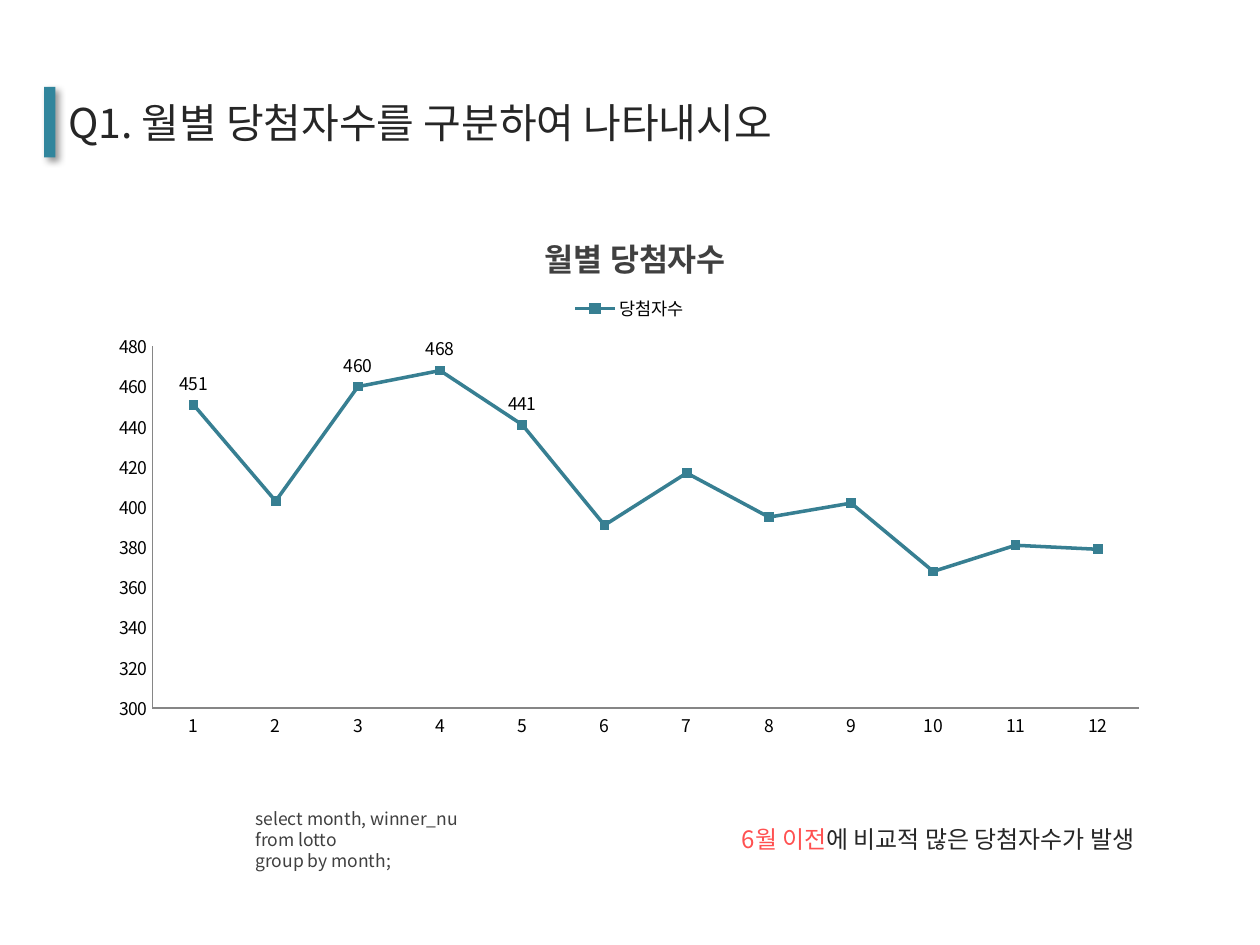
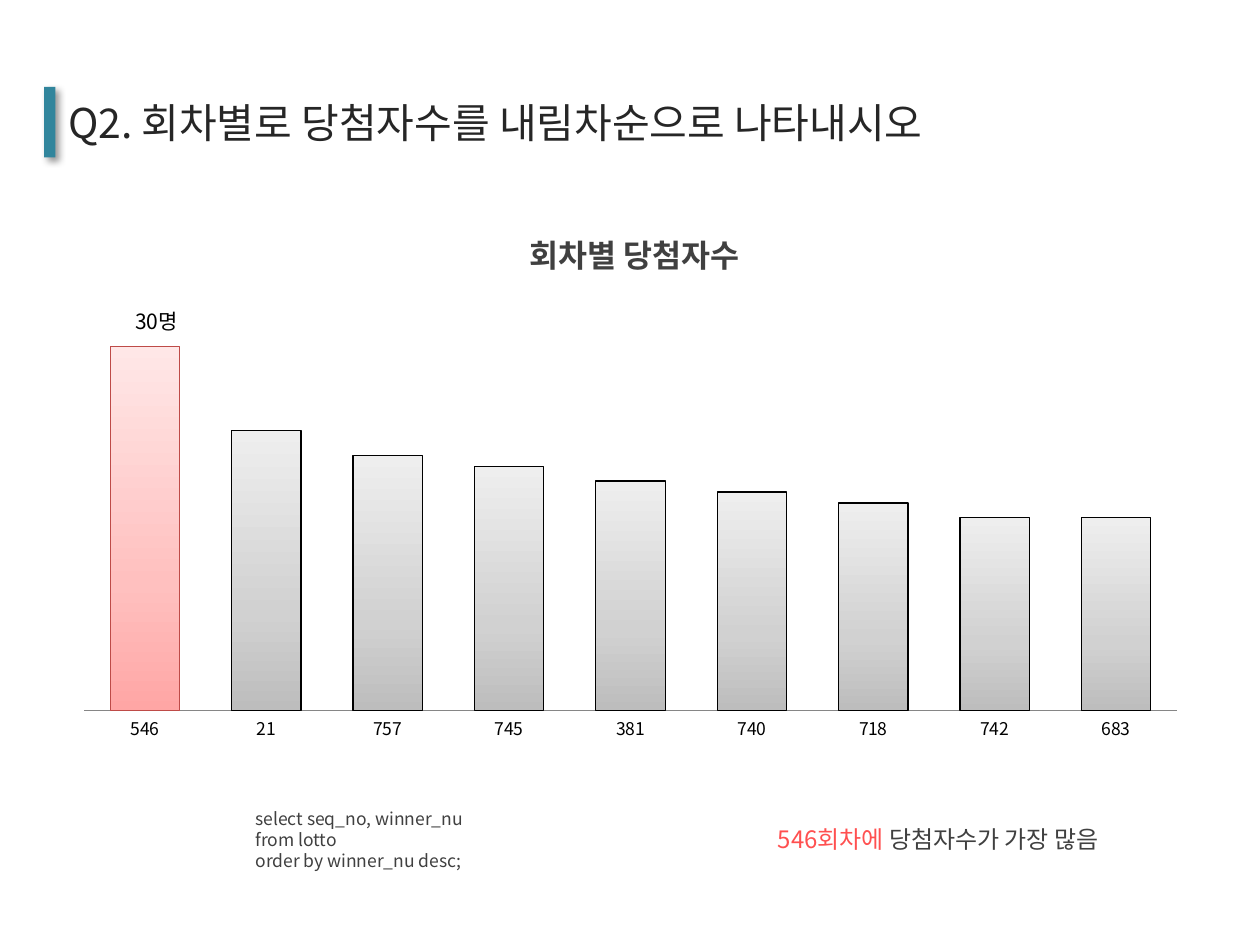
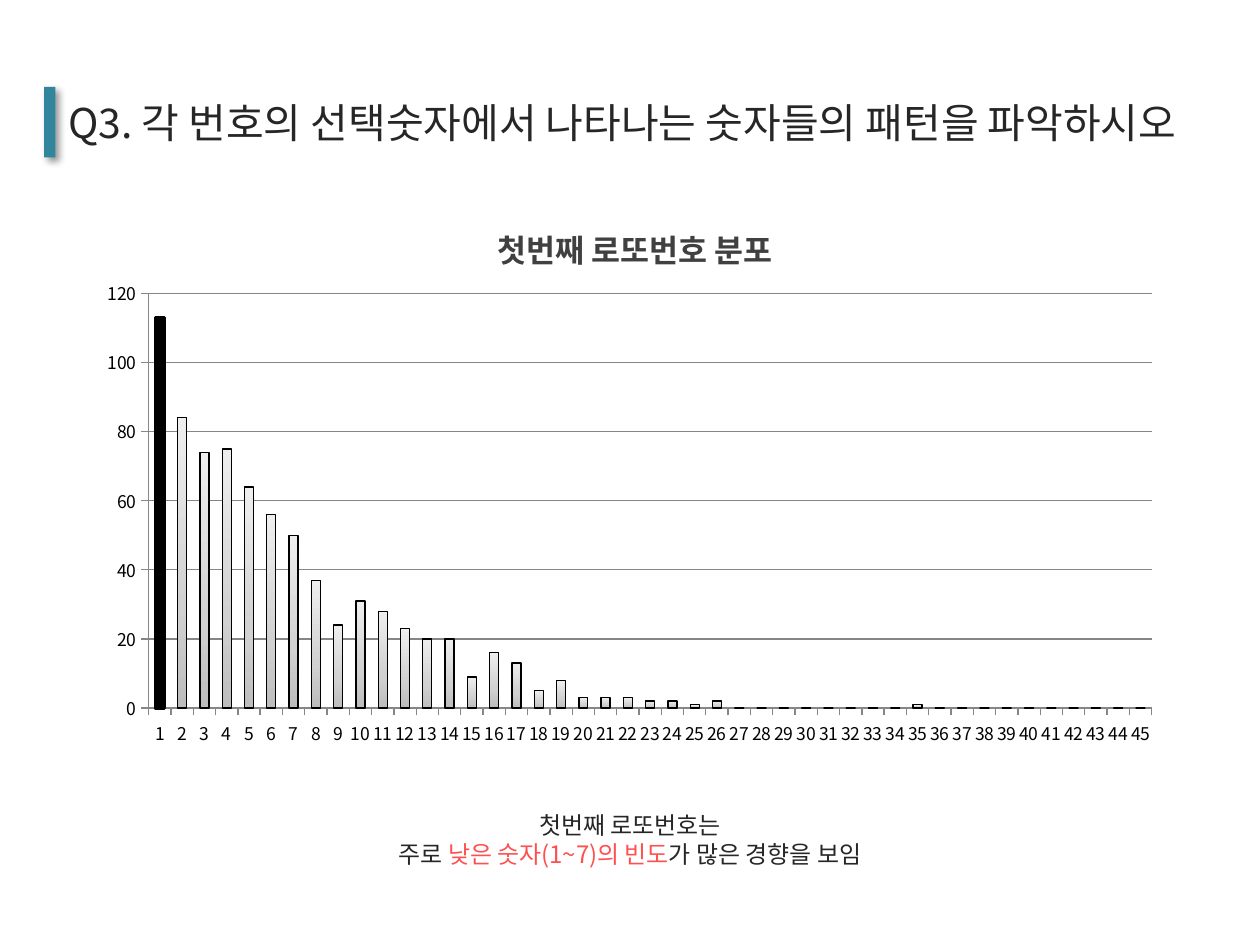
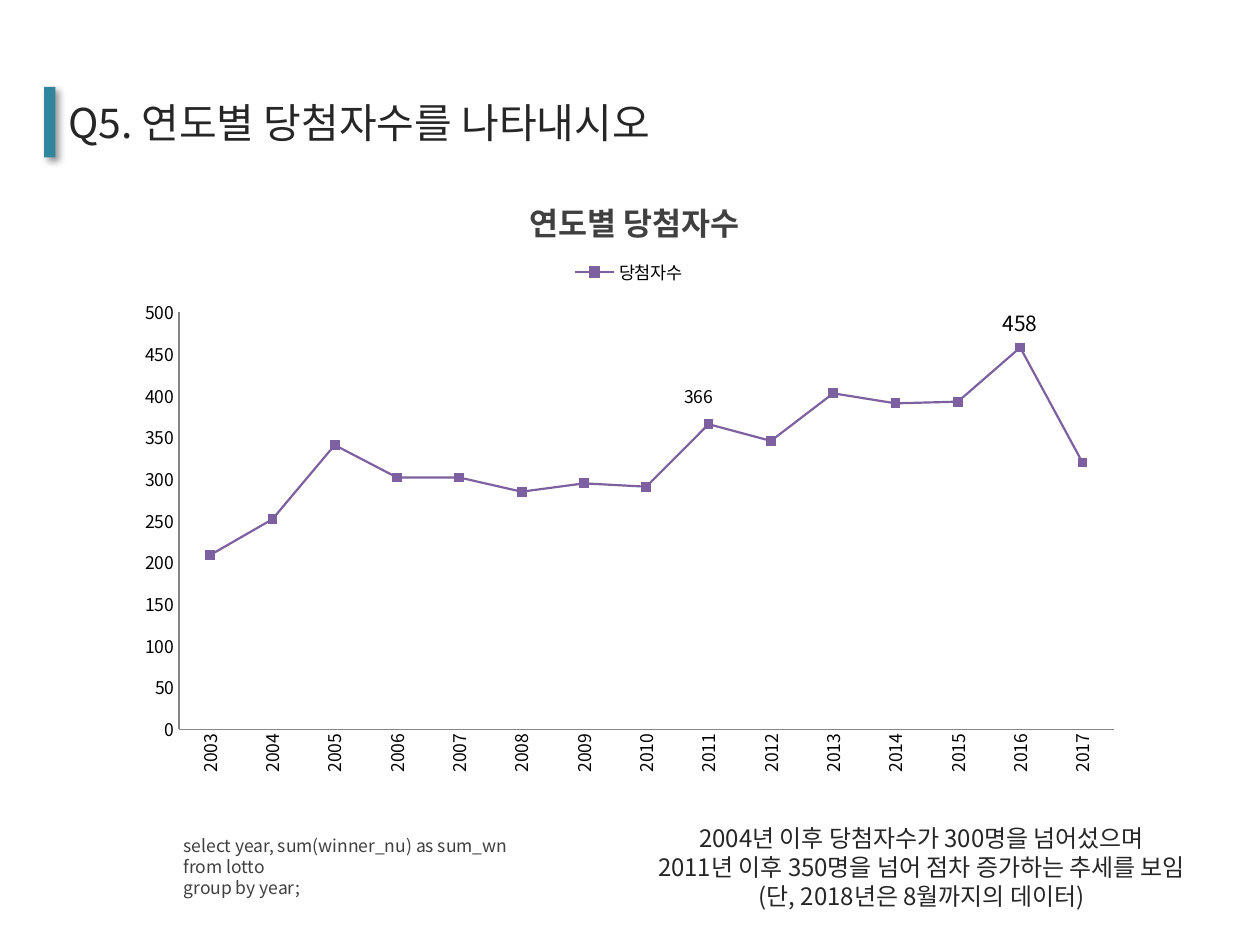
from copy import deepcopy
from dataclasses import dataclass

from lxml.etree import SubElement
from pptx import Presentation
from pptx.chart.data import CategoryChartData
from pptx.dml.color import RGBColor
from pptx.enum.chart import (XL_CHART_TYPE, XL_LABEL_POSITION, XL_LEGEND_POSITION,
                             XL_MARKER_STYLE, XL_TICK_MARK)
from pptx.enum.shapes import MSO_SHAPE
from pptx.enum.text import MSO_ANCHOR, PP_ALIGN
from pptx.oxml import parse_xml
from pptx.oxml.ns import nsdecls, qn
from pptx.util import Inches, Pt


@dataclass(frozen=True)
class Theme:
    """Colours, font and type sizes shared by all slides."""
    font: str = "Noto Sans CJK KR"
    ink: str = "262626"
    soft: str = "404040"
    black: str = "000000"
    white: str = "FFFFFF"
    highlight: str = "FF5050"
    accent: str = "31859C"
    axis: str = "868686"
    teal: str = "377F92"
    purple: str = "7D60A0"
    red_edge: str = "BE4B48"
    grey_stops: tuple = ("BDBDBD", "D1D1D1", "EEEEEE")
    red_stops: tuple = ("FFA6A5", "FFC0BF", "FFE7E7")
    heading_size: float = 23.4
    chart_title_size: float = 18
    caption_size: float = 13.7
    label_size: float = 12
    small_size: float = 10


THEME = Theme()


def rgb(code):
    """Turn a hex code into a colour."""
    return RGBColor.from_string(code)


def style_font(font, size, color, bold=False):
    """Give a font the theme typeface for Latin and Korean text."""
    font.size, font.bold = Pt(size), bold
    font.color.rgb = rgb(color)
    font.name = THEME.font
    latin = font._rPr.find(qn("a:latin"))
    latin.addnext(parse_xml(f'<a:ea {nsdecls("a")} typeface="{THEME.font}"/>'))


def write_lines(text_frame, lines, size, align):
    """Write lines, each a list of (text, colour) runs."""
    text_frame.word_wrap = True
    for index, line in enumerate(lines):
        paragraph = text_frame.paragraphs[0] if index == 0 else text_frame.add_paragraph()
        paragraph.alignment = align
        for text, color in line:
            run = paragraph.add_run()
            run.text = text
            style_font(run.font, size, color)


def add_heading(slide, box, text):
    """Place the question with its shadowed accent bar."""
    left, top, width, height = box
    group = slide.shapes.add_group_shape()
    heading = group.shapes.add_textbox(*map(Inches, box))
    heading.text_frame.vertical_anchor = MSO_ANCHOR.MIDDLE
    heading.text_frame.margin_left = Inches(0.54)
    write_lines(heading.text_frame, [[(text, THEME.ink)]], THEME.heading_size, PP_ALIGN.LEFT)
    bar = group.shapes.add_shape(MSO_SHAPE.RECTANGLE, Inches(left + 0.35), Inches(top + 0.13),
                                 Inches(0.09), Inches(height - 0.26))
    bar.fill.solid()
    bar.fill.fore_color.rgb = rgb(THEME.accent)
    bar.line.fill.background()
    bar.shadow.inherit = False
    shadow = parse_xml(
        f'<a:outerShdw {nsdecls("a")} blurRad="{Pt(4)}" dist="{Pt(3)}" dir="2700000" '
        f'algn="tl" rotWithShape="0"><a:srgbClr val="{THEME.black}">'
        '<a:alpha val="40000"/></a:srgbClr></a:outerShdw>')
    bar._element.spPr.find(qn("a:effectLst")).append(shadow)


def add_caption(slide, box, lines):
    """Place the centred finding."""
    caption = slide.shapes.add_textbox(*map(Inches, box))
    caption.text_frame.vertical_anchor = MSO_ANCHOR.MIDDLE
    write_lines(caption.text_frame, lines, THEME.caption_size, PP_ALIGN.CENTER)


def add_query(slide, box, lines):
    """Place the SQL query on a white panel."""
    panel = slide.shapes.add_shape(MSO_SHAPE.RECTANGLE, *map(Inches, box))
    panel.fill.solid()
    panel.fill.fore_color.rgb = rgb(THEME.white)
    panel.line.fill.background()
    panel.shadow.inherit = False
    panel.text_frame.vertical_anchor = MSO_ANCHOR.TOP
    panel.text_frame.margin_top = Inches(0.22)
    write_lines(panel.text_frame, [[(line, THEME.soft)] for line in lines],
                THEME.small_size, PP_ALIGN.LEFT)


def set_layout(parent, index, fractions, inner=False, edge=True):
    """Fix a chart part by fractions of the chart size."""
    layout = parent.find(qn("c:layout"))
    if layout is None:
        layout = parse_xml(f'<c:layout {nsdecls("c")}/>')
        parent.insert(index, layout)
    settings = [("layoutTarget", "inner")] if inner else []
    settings += [("xMode", "edge"), ("yMode", "edge")] if edge else []
    settings += [(name, f"{value:.4f}") for name, value in zip("xywh", fractions)]
    manual = SubElement(layout, qn("c:manualLayout"))
    for name, value in settings:
        SubElement(manual, qn("c:" + name)).set("val", value)


def fill_gradient(fill, colors):
    """Fill upwards through three colours."""
    fill.gradient()
    fill.gradient_angle = 90
    stop_list = fill._xPr.find(qn("a:gradFill")).find(qn("a:gsLst"))
    stop_list.insert(1, deepcopy(stop_list[0]))
    for stop, position, color in zip(fill.gradient_stops, (0, 0.35, 1), colors):
        stop.position = position
        stop.color.rgb = rgb(color)


def set_line(line, color, width):
    """Set a line's colour and width."""
    line.color.rgb = rgb(color)
    line.width = Pt(width)


def style_axes(chart, scale, tick_mark, grid):
    """Set the scale, tick marks and lines of both axes."""
    for axis in (chart.category_axis, chart.value_axis):
        axis.major_tick_mark = tick_mark
        axis.minor_tick_mark = XL_TICK_MARK.NONE
        axis.has_major_gridlines = False
        set_line(axis.format.line, THEME.axis, 0.75)
    value_axis = chart.value_axis
    value_axis.minimum_scale, value_axis.maximum_scale, value_axis.major_unit = scale
    if grid:
        value_axis.has_major_gridlines = True
        set_line(value_axis.major_gridlines.format.line, THEME.axis, 0.75)


def add_point_labels(chart, labels, position):
    """Label points given as index: (text or None, size, shift)."""
    series = chart.plots[0].series[0]
    series.data_labels.show_value = False
    for index, (text, size, _) in labels.items():
        label = series.points[index].data_label
        if text:
            label.text_frame.text = text
            style_font(label.text_frame.paragraphs[0].runs[0].font, size, THEME.black)
        else:
            style_font(label.font, size, THEME.black)
        label.position = position
    for element in chart.element.iter(qn("c:dLbl")):
        shift = labels[int(element.find(qn("c:idx")).get("val"))][2]
        if shift:
            set_layout(element, 1, shift, edge=False)


def add_titled_chart(slide, box, plot_box, kind, title, title_width, name, points):
    """Place a one-series chart with its title and plot area."""
    left, top, width, height = box
    data = CategoryChartData()
    data.categories = [str(category) for category in points]
    data.add_series(name, list(points.values()))
    chart = slide.shapes.add_chart(kind, *map(Inches, box), data).chart
    style_font(chart.font, THEME.small_size, THEME.black)
    chart.has_legend = False
    chart.has_title = True
    chart.chart_title.text_frame.text = title
    style_font(chart.chart_title.text_frame.paragraphs[0].runs[0].font,
               THEME.chart_title_size, THEME.soft, bold=True)
    set_layout(chart.chart_title._element, 1,
               (0.5 - title_width / 2 / width, 0.23 / height))
    plot_left, plot_top, plot_width, plot_height = plot_box
    set_layout(chart.element.chart.plotArea, 0,
               ((plot_left - left) / width, (plot_top - top) / height,
                plot_width / width, plot_height / height), inner=True)
    chart.plots[0].vary_by_categories = False
    return chart


def add_line_chart(slide, box, plot_box, title, title_width, points, color, weight, scale, labels):
    """Place a line chart with square markers and a legend on top."""
    chart = add_titled_chart(slide, box, plot_box, XL_CHART_TYPE.LINE_MARKERS,
                             title, title_width, "당첨자수", points)
    chart.has_legend = True
    chart.legend.position = XL_LEGEND_POSITION.TOP
    chart.legend.include_in_layout = False
    set_layout(chart.legend._element, 1, (0.5 - 0.48 / box[2], 0.75 / box[3]))
    style_axes(chart, scale, XL_TICK_MARK.NONE, grid=False)
    series = chart.plots[0].series[0]
    series.smooth = False
    set_line(series.format.line, color, weight)
    series.marker.style = XL_MARKER_STYLE.SQUARE
    series.marker.size = 5
    series.marker.format.fill.solid()
    series.marker.format.fill.fore_color.rgb = rgb(color)
    set_line(series.marker.format.line, color, 0.75)
    add_point_labels(chart, labels, XL_LABEL_POSITION.ABOVE)
    return chart


def add_column_chart(slide, box, plot_box, title, title_width, points, gap, scale, tick_mark, grid):
    """Place a column chart with grey gradient columns."""
    chart = add_titled_chart(slide, box, plot_box, XL_CHART_TYPE.COLUMN_CLUSTERED,
                             title, title_width, "Series 1", points)
    chart.plots[0].gap_width = gap
    style_axes(chart, scale, tick_mark, grid)
    series = chart.plots[0].series[0]
    series.invert_if_negative = False
    fill_gradient(series.format.fill, THEME.grey_stops)
    set_line(series.format.line, THEME.black, 0.75)
    return chart


def start_slide(presentation, heading):
    """Add a blank slide with its heading."""
    slide = presentation.slides.add_slide(presentation.slide_layouts[6])
    add_heading(slide, (0, 0.56, 10, 0.82), heading)
    return slide


def build_month_slide(presentation):
    """Winners by month."""
    slide = start_slide(presentation, "Q1. 월별 당첨자수를 구분하여 나타내시오")
    winners = (451, 403, 460, 468, 441, 391, 417, 395, 402, 368, 381, 379)
    labels = {index: (None, THEME.small_size, None) for index in (0, 2, 3, 4)}
    add_line_chart(slide, (0.78, 1.56, 8.44, 4.39), (1.21, 2.75, 7.83, 2.87),
                   "월별 당첨자수", 1.44, dict(enumerate(winners, 1)),
                   THEME.teal, 2, (300, 480, 20), labels)
    add_query(slide, (1.93, 6.19, 3.07, 0.94),
              ["select month, winner_nu", "from lotto", "group by month;"])
    add_caption(slide, (5.13, 6.19, 4.63, 0.94),
                [[("6월 이전", THEME.highlight), ("에 비교적 많은 당첨자수가 발생", THEME.ink)]])


def build_round_slide(presentation):
    """Winners by draw, in descending order."""
    slide = start_slide(presentation, "Q2. 회차별로 당첨자수를 내림차순으로 나타내시오")
    rounds = (546, 21, 757, 745, 381, 740, 718, 742, 683)
    winners = (100, 77, 70, 67, 63, 60, 57, 53, 53)
    chart = add_column_chart(slide, (0.48, 1.53, 9.03, 4.44), (0.67, 2.75, 8.67, 2.89),
                             "회차별 당첨자수", 1.67, dict(zip(rounds, winners)),
                             75, (0, 100, 20), XL_TICK_MARK.NONE, grid=False)
    chart.value_axis.visible = False
    top_round = chart.plots[0].series[0].points[0].format
    fill_gradient(top_round.fill, THEME.red_stops)
    set_line(top_round.line, THEME.red_edge, 0.75)
    add_point_labels(chart, {0: ("30명", THEME.label_size, (0.01, -0.01))},
                     XL_LABEL_POSITION.OUTSIDE_END)
    add_caption(slide, (5.13, 6.19, 4.63, 0.94),
                [[("546회차에 ", THEME.highlight), ("당첨자수가 가장 많음", THEME.soft)]])
    add_query(slide, (1.93, 6.19, 3.07, 0.94),
              ["select seq_no, winner_nu", "from lotto", "order by winner_nu desc;"])


def build_number_slide(presentation):
    """Distribution of the first number drawn."""
    slide = start_slide(presentation, "Q3. 각 번호의 선택숫자에서 나타나는 숫자들의 패턴을 파악하시오")
    counts = dict.fromkeys(range(1, 46), 0)
    counts.update(enumerate((113, 84, 74, 75, 64, 56, 50, 37, 24, 31, 28, 23, 20,
                             20, 9, 16, 13, 5, 8, 3, 3, 3, 2, 2, 1, 2), 1))
    counts[35] = 1
    chart = add_column_chart(slide, (0.69, 1.49, 8.63, 4.53), (1.18, 2.33, 7.96, 3.29),
                             "첫번째 로또번호 분포", 2.21, counts,
                             150, (0, 120, 20), XL_TICK_MARK.OUTSIDE, grid=True)
    first_number = chart.plots[0].series[0].points[0].format
    first_number.fill.solid()
    first_number.fill.fore_color.rgb = rgb(THEME.black)
    set_line(first_number.line, THEME.black, 2)
    add_caption(slide, (0, 6.19, 10, 0.94),
                [[("첫번째 로또번호는", THEME.ink)],
                 [("주로 ", THEME.ink), ("낮은 숫자(1~7)의 빈도", THEME.highlight),
                  ("가 많은 경향을 보임", THEME.ink)]])


def build_year_slide(presentation):
    """Winners by year."""
    slide = start_slide(presentation, "Q5. 연도별 당첨자수를 나타내시오")
    findings = ("2004년 이후 당첨자수가 300명을 넘어섰으며",
                "2011년 이후 350명을 넘어 점차 증가하는 추세를 보임",
                "(단, 2018년은 8월까지의 데이터)")
    add_caption(slide, (5, 6.41, 4.63, 0.94), [[(line, THEME.ink)] for line in findings])
    add_query(slide, (1.36, 6.41, 3.07, 0.94),
              ["select year, sum(winner_nu) as sum_wn", "from lotto", "group by year;"])
    winners = (209, 252, 341, 302, 302, 285, 295, 291, 366, 346, 403, 391, 393, 458, 320)
    labels = {8: (None, THEME.small_size, (-0.01, -0.01)),
              13: ("458", THEME.label_size, None)}
    chart = add_line_chart(slide, (0.99, 1.27, 8.01, 4.96), (1.42, 2.48, 7.42, 3.31),
                           "연도별 당첨자수", 1.67, dict(enumerate(winners, 2003)),
                           THEME.purple, 1.25, (0, 500, 50), labels)
    style_font(chart.category_axis.tick_labels.font, THEME.small_size, THEME.black)
    text_properties = chart.category_axis._element.find(qn("c:txPr"))
    text_properties.find(qn("a:bodyPr")).set("rot", "-5400000")


def main():
    """Build and save the presentation."""
    presentation = Presentation()
    presentation.slide_width, presentation.slide_height = Inches(10), Inches(7.5)
    for build in (build_month_slide, build_round_slide, build_number_slide, build_year_slide):
        build(presentation)
    presentation.save("out.pptx")


main()
